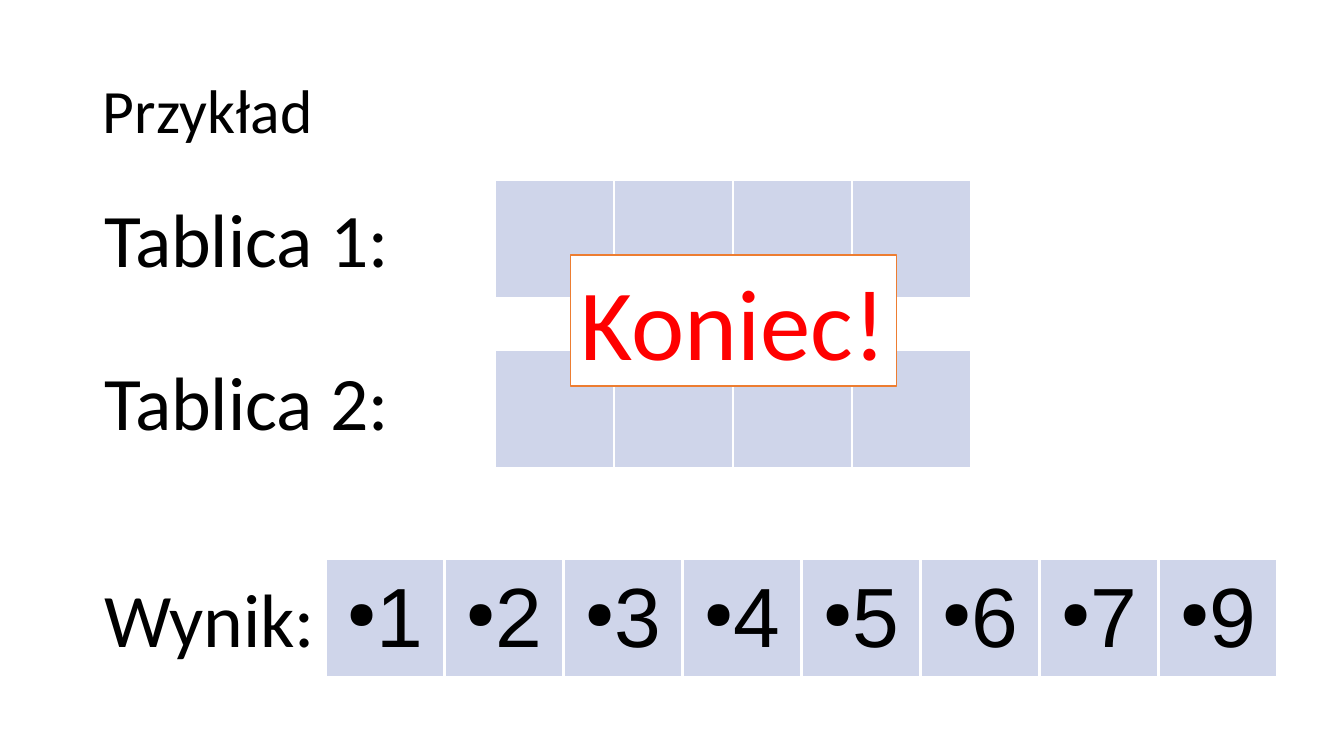
"""Build the closing slide of a merge example with two empty arrays and the sorted result."""
from dataclasses import dataclass

from lxml import etree
from pptx import Presentation
from pptx.dml.color import RGBColor
from pptx.enum import text
from pptx.oxml import ns
from pptx.util import Inches, Pt


@dataclass(frozen=True)
class Theme:
    black: str = "000000"
    white: str = "FFFFFF"
    red: str = "FF0000"
    orange: str = "ED7D31"
    cell: str = "CFD5EA"
    body_font: str = "Calibri"
    number_font: str = "Arial"
    title_size: int = 44
    label_size: int = 54
    number_size: int = 60
    banner_size: int = 72


theme = Theme()
CELL_SIZE = 1.18


def format_paragraph(paragraph, size, color, font_name, alignment):
    paragraph.alignment = alignment
    for run in paragraph.runs:
        run.font.size = Pt(size)
        run.font.name = font_name
        run.font.color.rgb = RGBColor.from_string(color)


def add_element(parent, tag, **attributes):
    return etree.SubElement(parent, ns.qn(tag), attributes)


presentation = Presentation()
presentation.slide_width = Inches(13.33)
presentation.slide_height = Inches(7.5)
slide = presentation.slides.add_slide(presentation.slide_layouts[5])

title = slide.shapes.title
title.left, title.top = Inches(0.92), Inches(0.4)
title.width, title.height = Inches(11.5), Inches(1.45)
title.text_frame.text = "Przykład"
title.text_frame.auto_size = text.MSO_AUTO_SIZE.NONE
title.text_frame.vertical_anchor = text.MSO_ANCHOR.MIDDLE
title_paragraph = title.text_frame.paragraphs[0]
title_paragraph.line_spacing = 0.9
format_paragraph(title_paragraph, theme.title_size, theme.black, theme.body_font, text.PP_ALIGN.LEFT)

arrays = [
    (4.91, 1.78, [""] * 4),
    (4.91, 3.47, [""] * 4),
    (3.23, 5.54, ["1", "2", "3", "4", "5", "6", "7", "9"]),
]
for left, top, values in arrays:
    table = slide.shapes.add_table(
        1, len(values), Inches(left), Inches(top), Inches(CELL_SIZE * len(values)), Inches(CELL_SIZE)
    ).table
    table.first_row = False
    table.horz_banding = False
    for cell, value in zip(table.iter_cells(), values):
        cell.vertical_anchor = text.MSO_ANCHOR.MIDDLE
        properties = cell._tc.get_or_add_tcPr()
        for side in ("a:lnL", "a:lnR", "a:lnT", "a:lnB"):
            border = add_element(properties, side, w=str(Pt(1.98)))
            add_element(add_element(border, "a:solidFill"), "a:srgbClr", val=theme.white)
        cell.fill.solid()
        cell.fill.fore_color.rgb = RGBColor.from_string(theme.cell)
        if value:
            cell.text_frame.text = value
            paragraph = cell.text_frame.paragraphs[0]
            bullet = paragraph._p.get_or_add_pPr()
            bullet.set("marL", str(Inches(0.24)))
            bullet.set("indent", str(Inches(-0.24)))
            add_element(add_element(bullet, "a:buClr"), "a:srgbClr", val=theme.black)
            add_element(bullet, "a:buSzPct", val="45000")
            add_element(bullet, "a:buChar", char="●")
            format_paragraph(
                paragraph, theme.number_size, theme.black, theme.number_font, text.PP_ALIGN.CENTER
            )

labels = [
    ("Tablica 1:", 0.93, 1.86, 3.03, 1, theme.label_size, theme.black),
    ("Tablica 2:", 0.93, 3.47, 3.03, 1, theme.label_size, theme.black),
    ("Wynik:", 0.93, 5.62, 2.3, 1, theme.label_size, theme.black),
    ("Koniec!", 5.66, 2.53, 3.23, 1.3, theme.banner_size, theme.red),
]
for wording, left, top, width, height, size, color in labels:
    label = slide.shapes.add_textbox(Inches(left), Inches(top), Inches(width), Inches(height))
    label.text_frame.text = wording
    label.text_frame.word_wrap = False
    label.text_frame.auto_size = text.MSO_AUTO_SIZE.SHAPE_TO_FIT_TEXT
    format_paragraph(
        label.text_frame.paragraphs[0], size, color, theme.body_font, text.PP_ALIGN.CENTER
    )

banner = label
banner.fill.solid()
banner.fill.fore_color.rgb = RGBColor.from_string(theme.white)
banner.line.color.rgb = RGBColor.from_string(theme.orange)
banner.line.width = Pt(1)

presentation.save("out.pptx")
